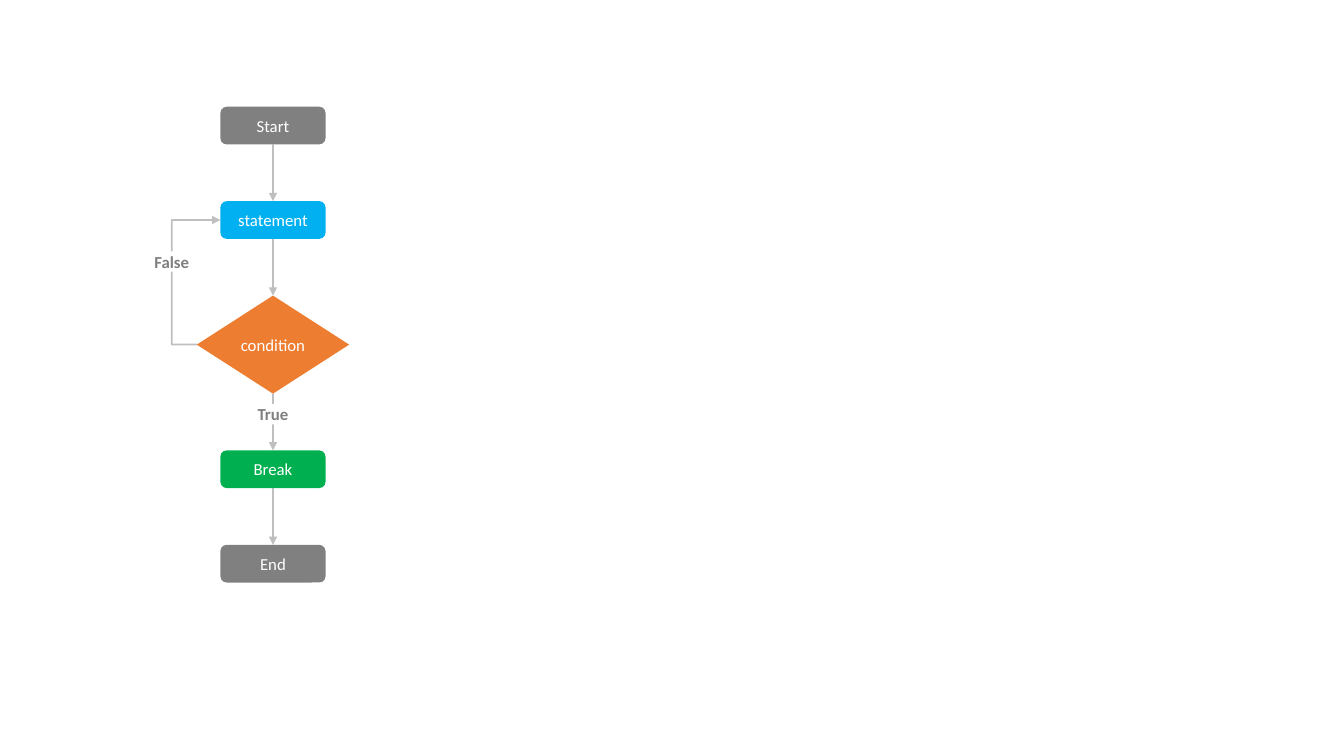
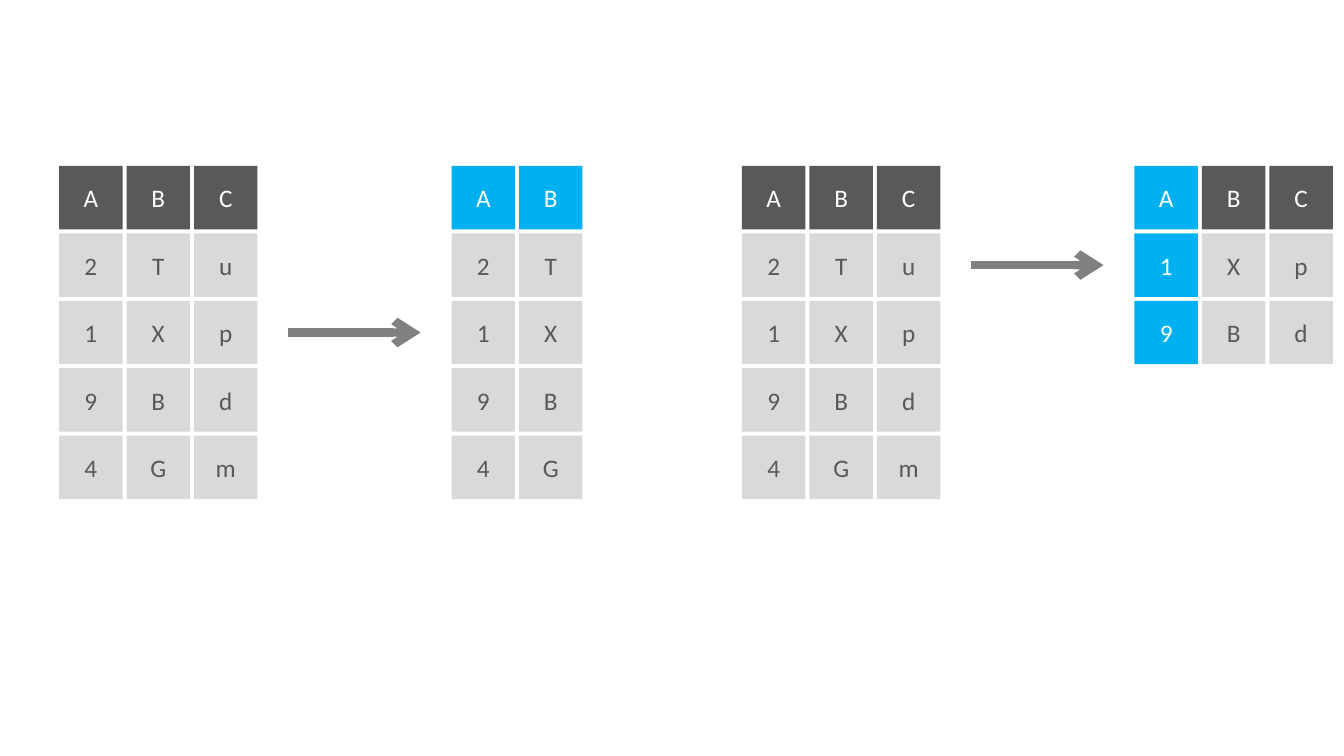
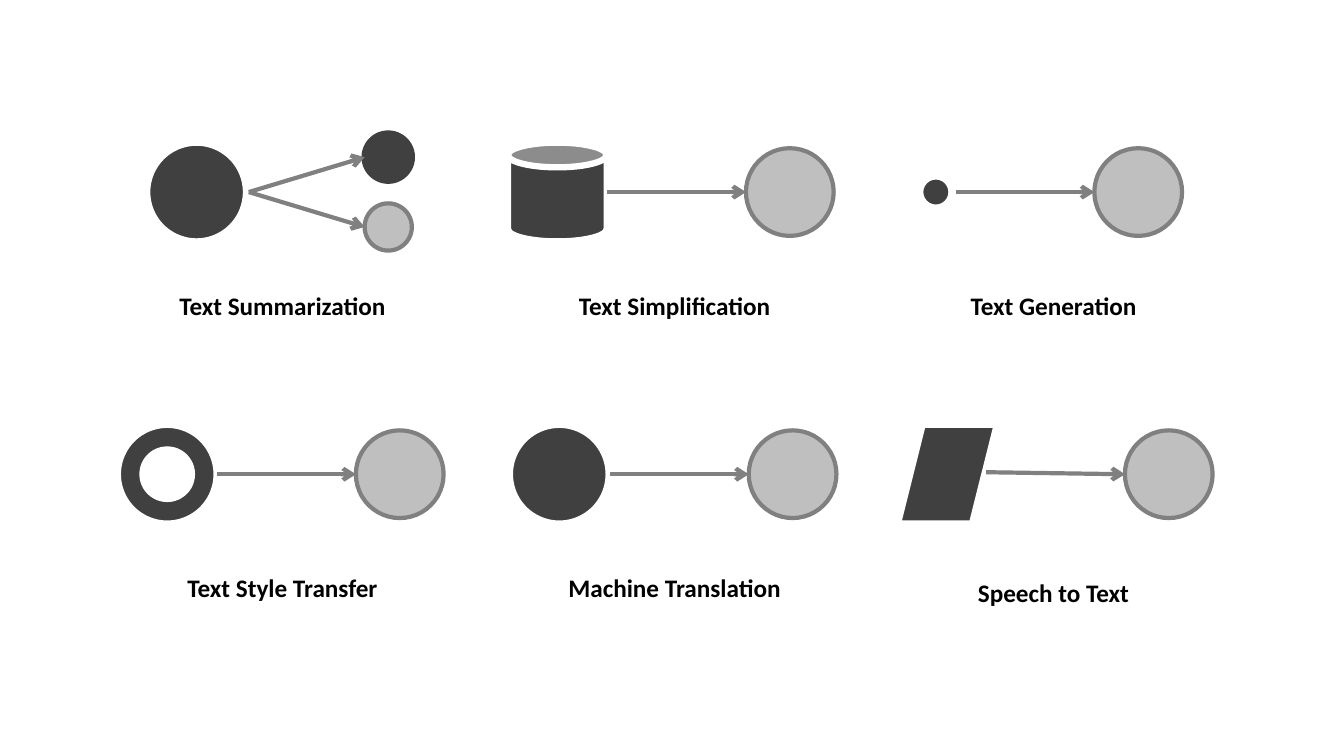
from dataclasses import dataclass

from lxml import etree
from pptx import Presentation
from pptx.dml.color import RGBColor
from pptx.enum import shapes, text
from pptx.oxml.ns import qn
from pptx.util import Cm, Pt

KIND = shapes.MSO_SHAPE
LINK = shapes.MSO_CONNECTOR


@dataclass(frozen=True)
class Theme:
    font: str = "Calibri"
    small: int = 12
    large: int = 18
    white: str = "FFFFFF"
    black: str = "000000"
    ink: str = "404040"
    head: str = "595959"
    gray: str = "808080"
    pale: str = "BFBFBF"
    cell: str = "D9D9D9"
    blue: str = "00B0F0"
    green: str = "00B050"
    orange: str = "ED7D31"


T = Theme()


# Shared parts
def rgb(code):
    return RGBColor.from_string(code)


def write(shape, words, size, color, bold=False, wrap=True):
    frame = shape.text_frame
    frame.word_wrap = wrap
    frame.vertical_anchor = text.MSO_ANCHOR.MIDDLE
    frame.margin_left = frame.margin_right = 0
    frame.margin_top = frame.margin_bottom = 0
    para = frame.paragraphs[0]
    para.alignment = text.PP_ALIGN.CENTER
    run = para.add_run()
    run.text = words
    font = run.font
    font.name, font.size, font.bold = T.font, Pt(size), bold
    font.color.rgb = rgb(color)


def draw(slide, kind, box, fill, edge=None, width=3):
    shape = slide.shapes.add_shape(kind, *[Cm(n) for n in box])
    shape.shadow.inherit = False
    shape.fill.solid()
    shape.fill.fore_color.rgb = rgb(fill)
    if edge:
        shape.line.color.rgb = rgb(edge)
        shape.line.width = Pt(width)
    else:
        shape.line.fill.background()
    return shape


def arrow(slide, start, end, width, tip="arrow", kind=LINK.STRAIGHT):
    line = slide.shapes.add_connector(kind, *[Cm(n) for n in (*start, *end)])
    line.line.color.rgb = rgb(T.gray)
    line.line.width = Pt(width)
    props = line._element.spPr
    etree.SubElement(props.find(qn("a:ln")), qn("a:tailEnd"), type=tip)
    etree.SubElement(props, qn("a:effectLst"))
    return line


# Flow chart
def join(slide, first, last, sites, kind=LINK.STRAIGHT):
    line = arrow(slide, (0, 0), (0, 0), 1.25, "triangle", kind)
    line.begin_connect(first, sites[0])
    line.end_connect(last, sites[1])
    color = line._element.spPr.find(".//" + qn("a:srgbClr"))
    etree.SubElement(color, qn("a:alpha"), val="50000")
    return line


def tag(slide, words, mid, wide):
    high = 0.51
    box = (mid[0] - wide / 2, mid[1] - high / 2, wide, high)
    label = draw(slide, KIND.RECTANGLE, box, T.white)
    write(label, words, T.small, T.gray, bold=True, wrap=False)


def flow(slide, mid, top):
    gap, bar, gem = 1.43, (2.65, 0.95), (3.84, 2.47)
    steps = [
        ("Start", KIND.ROUNDED_RECTANGLE, T.gray, bar),
        ("statement", KIND.ROUNDED_RECTANGLE, T.blue, bar),
        ("condition", KIND.DIAMOND, T.orange, gem),
        ("Break", KIND.ROUNDED_RECTANGLE, T.green, bar),
        ("End", KIND.ROUNDED_RECTANGLE, T.gray, bar),
    ]
    nodes, y = [], top
    for words, kind, fill, (wide, high) in steps:
        node = draw(slide, kind, (mid - wide / 2, y, wide, high), fill)
        write(node, words, T.small, T.white)
        nodes.append(node)
        y += high + gap
    for first, last in zip(nodes, nodes[1:]):
        join(slide, first, last, (2, 0))

    # Loop back to the statement
    loop = join(slide, nodes[2], nodes[1], (1, 1), LINK.ELBOW)
    guides = loop._element.spPr.find(qn("a:prstGeom")).get_or_add_avLst()
    etree.SubElement(guides, qn("a:gd"), name="adj1", fmla="val -106000")
    tag(slide, "True", (mid, top + 7.75), 0.79)
    tag(slide, "False", (mid - 2.55, top + 3.9), 1.09)


# Data tables made of spaced tiles
SIDE, STEP = 1.6, 1.7


def span(count):
    return (count - 1) * STEP + SIDE


def grid(slide, left, top, rows, picked):
    for r, row in enumerate(rows):
        for c, words in enumerate(row):
            fill = T.blue if picked(r, c) else T.cell if r else T.head
            box = (left + c * STEP, top + r * STEP, SIDE, SIDE)
            tile = draw(slide, KIND.RECTANGLE, box, fill)
            color = T.head if fill == T.cell else T.white
            write(tile, words, T.large, color)


def query(slide, left, top, rows, result, picked):
    gap, reach = 0.78, 3.33
    grid(slide, left, top, rows, lambda r, c: False)
    x = left + span(len(rows[0])) + gap
    y = top + span(len(result)) / 2
    arrow(slide, (x, y), (x + reach, y), 6)
    grid(slide, x + reach + gap, top, result, picked)


# Text tasks: a source, one or two goals and a caption
BIG, GOAL, MINI = 2.49, 2.21, 1.19


def disc(slide, kind, left, mid, size, fill, edge, width):
    box = (left, mid - size / 2, size, size)
    draw(slide, kind, box, fill, edge, width)


def task(slide, left, mid, words, kind, source, goal, size=BIG,
         split=False, lean=0, drop=0):
    disc(slide, kind, left + source, mid, size, T.ink, T.white, 4.5)
    x = left + goal
    if split:
        goals = [(-0.88, MINI, T.ink, T.ink, 4.5),
                 (0.88, MINI, T.pale, T.gray, 3)]
    else:
        goals = [(0, GOAL, T.pale, T.gray, 3)]
    reach = 2.92 if split else 3.5
    for shift, wide, fill, edge, width in goals:
        disc(slide, KIND.OVAL, x, mid + shift, wide, fill, edge, width)
        arrow(slide, (x - reach, mid - lean), (x, mid + shift), 3)
    box = (left, mid + 2.25 + drop, 7.44, 1.19)
    label = draw(slide, KIND.RECTANGLE, box, T.white, T.white)
    write(label, words, T.large, T.black, bold=True)


def tasks(slide, lefts, mids):
    items = [
        [("Text Summarization", KIND.OVAL, 0.31, 5.79, BIG, True),
         ("Text Simplification", KIND.CAN, -0.48, 5.52),
         ("Text Generation", KIND.OVAL, 0.36, 4.75, 0.79)],
        [("Text Style Transfer", KIND.DONUT, -0.43, 5.57),
         ("Machine Translation", KIND.OVAL, -0.43, 5.59),
         ("Speech to Text", KIND.PARALLELOGRAM, -0.2, 5.52,
          BIG, False, 0.05, 0.13)],
    ]
    for mid, row in zip(mids, items):
        for left, item in zip(lefts, row):
            task(slide, left, mid, *item)


def main():
    deck = Presentation()
    deck.slide_width, deck.slide_height = Cm(33.87), Cm(19.05)
    blank = deck.slide_layouts[6]
    first, second, third = [deck.slides.add_slide(blank) for _ in range(3)]

    flow(first, 6.88, 2.69)

    rows = ["ABC", "2Tu", "1Xp", "9Bd", "4Gm"]
    query(second, 1.49, 4.18, rows, [row[:2] for row in rows],
          lambda r, c: r == 0)
    query(second, 18.7, 4.18, rows, [rows[n] for n in (0, 2, 3)],
          lambda r, c: c == 0)

    tasks(third, (3.4, 13.28, 22.83), (4.84, 11.95))
    deck.save("out.pptx")


if __name__ == "__main__":
    main()
